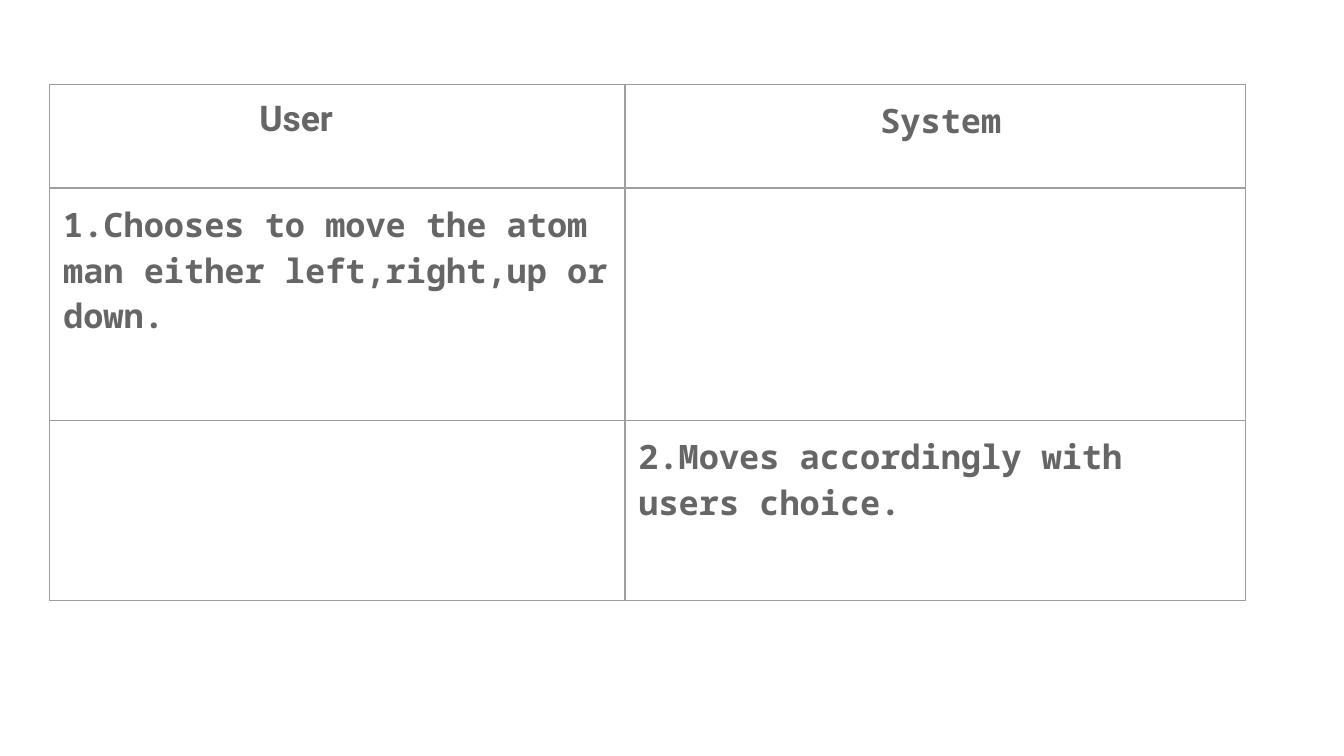
"""Build a slide with a two-column table of user actions and system responses."""
from lxml.etree import SubElement
from pptx import Presentation
from pptx.dml.color import RGBColor
from pptx.oxml.ns import qn
from pptx.util import Inches, Pt

COLORS = {"text": "666666", "border": "9E9E9E"}
MONO = ("Noto Sans Mono", 18)
ROWS = [
    ("User", "System"),
    ("1.Chooses to move the atom man either left,right,up or down.", ""),
    ("", "2.Moves accordingly with users choice."),
]
HEADING_FONTS = [("Roboto", 19), MONO]
HEADING_INDENTS = [1.46, 1.8]
COLUMN_WIDTHS = [4.28, 4.62]
ROW_HEIGHTS = [0.77, 1.73, 1.34]
LEFT, TOP, MARGIN = 0.37, 0.63, 0.1


def add_borders(cell):
    properties = cell._tc.get_or_add_tcPr()
    for position, side in enumerate(("lnL", "lnR", "lnT", "lnB")):
        line = SubElement(properties, qn(f"a:{side}"), w=str(Pt(0.75)))
        fill = SubElement(line, qn("a:solidFill"))
        SubElement(fill, qn("a:srgbClr"), val=COLORS["border"])
        properties.insert(position, line)


def fill_cell(cell, text, font, indent):
    cell.margin_left = Inches(MARGIN + indent)
    cell.margin_right = cell.margin_top = cell.margin_bottom = Inches(MARGIN)
    cell.fill.background()
    add_borders(cell)
    cell.text_frame.text = text
    for run in cell.text_frame.paragraphs[0].runs:
        run.font.name, run.font.size = font[0], Pt(font[1])
        run.font.bold = True
        run.font.color.rgb = RGBColor.from_string(COLORS["text"])


def main():
    presentation = Presentation()
    presentation.slide_width = Inches(10)
    presentation.slide_height = presentation.slide_width * 9 // 16
    slide = presentation.slides.add_slide(presentation.slide_layouts[6])
    steps = slide.shapes.add_table(
        len(ROWS), len(COLUMN_WIDTHS), Inches(LEFT), Inches(TOP),
        Inches(sum(COLUMN_WIDTHS)), Inches(sum(ROW_HEIGHTS)),
    ).table
    steps.first_row = steps.horz_banding = False
    for column, width in zip(steps.columns, COLUMN_WIDTHS):
        column.width = Inches(width)
    for row, height in zip(steps.rows, ROW_HEIGHTS):
        row.height = Inches(height)
    for r, texts in enumerate(ROWS):
        for c, text in enumerate(texts):
            font, indent = (HEADING_FONTS[c], HEADING_INDENTS[c]) if r == 0 else (MONO, 0)
            fill_cell(steps.cell(r, c), text, font, indent)
    presentation.save("out.pptx")


if __name__ == "__main__":
    main()
